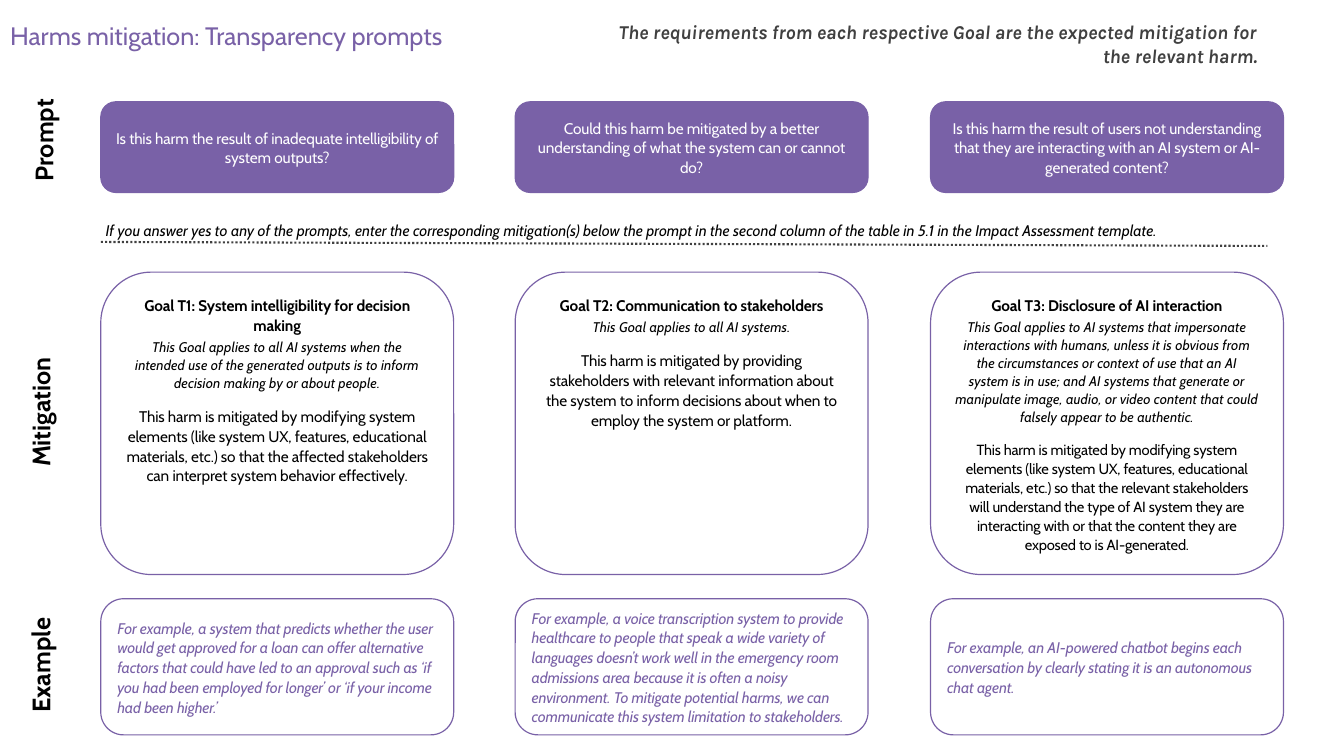
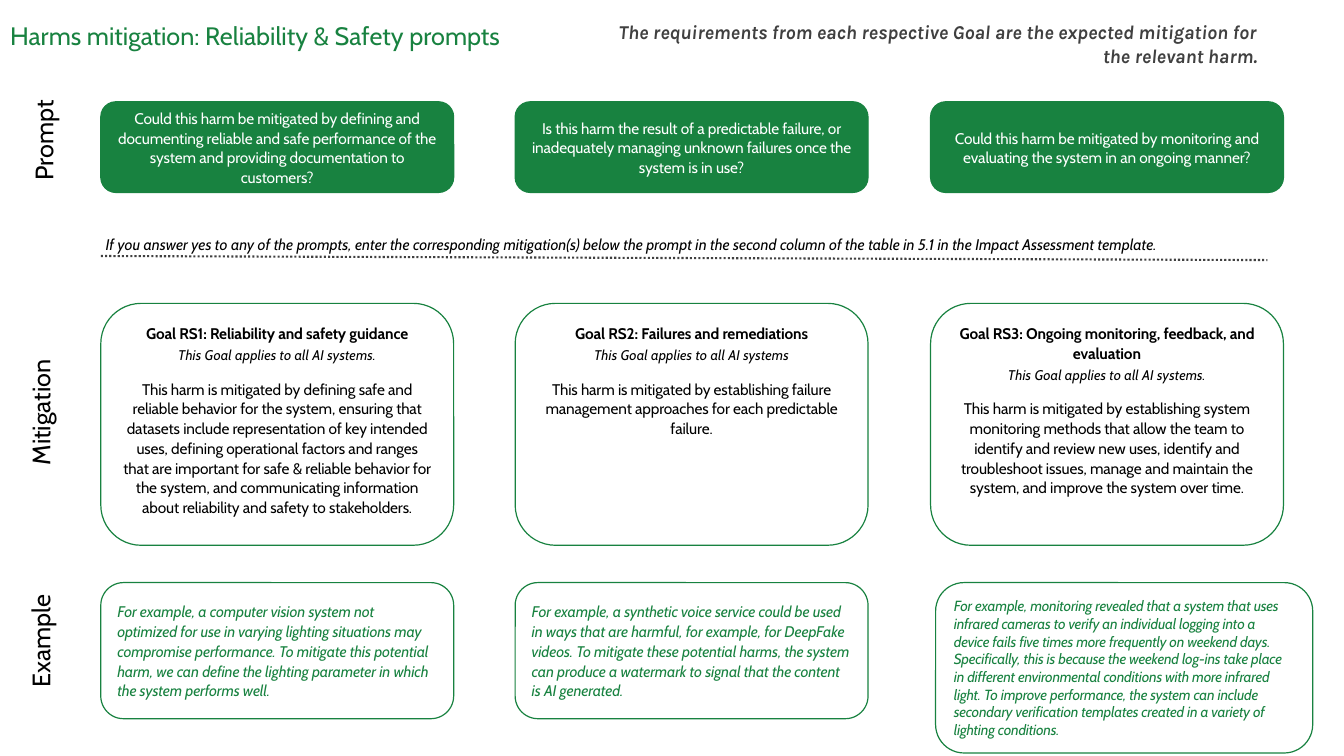
from dataclasses import dataclass

from lxml import etree
from pptx import Presentation
from pptx.dml import color
from pptx.enum import dml, shapes, text
from pptx.oxml import ns
from pptx.util import Inches, Pt

COLORS = {
    "purple": "7961A7",
    "green": "188240",
    "grey": "404040",
    "black": "000000",
    "white": "FFFFFF",
}
COLUMNS = (1, 5.11, 9.23)
CARD_WIDTH = 3.5
REQUIREMENT = "The requirements from each respective Goal are the expected mitigation for the relevant harm."
HINT = (
    "If you answer yes to any of the prompts, enter the corresponding mitigation(s) below the prompt "
    "in the second column of the table in 5.1 in the Impact Assessment template."
)
ALL_SYSTEMS = "This Goal applies to all AI systems."


@dataclass
class Goal:
    prompt: str
    name: str
    scope: str
    mitigation: str
    example: str
    mitigation_size: float = 11
    example_box: tuple = ()


@dataclass
class Page:
    title: str
    accent: str
    bold_labels: bool
    hint_top: float
    goal_top: float
    goal_height: float
    example_top: float
    example_label_y: float
    goals: tuple


class Deck:
    """Hold the shared style and the current slide, and draw each kind of element."""

    font = "Cabin"

    def __init__(self):
        self.prs = Presentation()
        self.prs.slide_width, self.prs.slide_height = Inches(13.33), Inches(7.5)
        self.s = None
        self.accent = "black"

    def rgb(self, name):
        return color.RGBColor.from_string(COLORS[name])

    def style_text(self, p, content, size, name="black", align=text.PP_ALIGN.LEFT,
                   bold=False, italic=False, font=None, spacing=0):
        p.text = content
        p.alignment = align
        for r in p.runs:
            r.font.size = Pt(size)
            r.font.name = font or self.font
            r.font.bold, r.font.italic = bold, italic
            r.font.color.rgb = self.rgb(name)
            if spacing:
                r._r.get_or_add_rPr().set("spc", str(spacing))

    def new_slide(self, title, accent):
        self.s = self.prs.slides.add_slide(self.prs.slide_layouts[5])
        self.accent = accent
        sp = self.s.shapes.title
        sp.left, sp.top, sp.width, sp.height = map(Inches, (0, 0.15, 6.67, 0.4))
        tf = sp.text_frame
        tf.auto_size = text.MSO_AUTO_SIZE.NONE
        tf.vertical_anchor = text.MSO_ANCHOR.TOP
        self.style_text(tf.paragraphs[0], title, 18, accent)

    def textbox(self, box, content, size, **style):
        sp = self.s.shapes.add_textbox(*map(Inches, box))
        sp.text_frame.word_wrap = True
        self.style_text(sp.text_frame.paragraphs[0], content, size, **style)
        return sp

    def row_label(self, content, center_x, center_y, bold):
        box = (center_x - 0.8, center_y - 0.2, 1.6, 0.4)
        sp = self.textbox(box, content, 18, bold=bold, align=text.PP_ALIGN.CENTER)
        sp.rotation = 270

    def card(self, box, filled=False, anchor=text.MSO_ANCHOR.MIDDLE):
        sp = self.s.shapes.add_shape(shapes.MSO_SHAPE.ROUNDED_RECTANGLE, *map(Inches, box))
        sp.shadow.inherit = False
        if filled:
            sp.fill.solid()
            sp.fill.fore_color.rgb = self.rgb(self.accent)
        else:
            sp.fill.background()
        sp.line.color.rgb = self.rgb(self.accent)
        sp.line.width = Pt(0.85)
        tf = sp.text_frame
        tf.word_wrap = True
        tf.vertical_anchor = anchor
        tf.paragraphs[0].line_spacing = 1.07
        return tf

    def prompt_card(self, left, content):
        tf = self.card((left, 1.01, CARD_WIDTH, 0.9), filled=True)
        self.style_text(tf.paragraphs[0], content, 11, "white", text.PP_ALIGN.CENTER, spacing=-10)

    def goal_card(self, box, goal):
        tf = self.card(box, anchor=text.MSO_ANCHOR.TOP)
        tf.margin_top = Inches(0.08)
        parts = (
            (goal.name, 11, 0, {"bold": True, "spacing": -10}),
            (goal.scope, 10, 2, {"italic": True, "spacing": 10}),
            (goal.mitigation, goal.mitigation_size, 10.5, {"spacing": -10}),
        )
        for content, size, before, style in parts:
            p = tf.add_paragraph() if before else tf.paragraphs[0]
            p.line_spacing = 1.07
            if before:
                p.space_before = Pt(before)
            self.style_text(p, content, size, align=text.PP_ALIGN.CENTER, **style)

    def example_card(self, box, content, size=11, line_spacing=1.07):
        p = self.card(box).paragraphs[0]
        p.line_spacing = line_spacing
        self.style_text(p, content, size, self.accent, italic=True, spacing=-10)

    def dotted_line(self, x1, y1, x2, y2):
        line = self.s.shapes.add_connector(
            shapes.MSO_CONNECTOR.STRAIGHT, *map(Inches, (x1, y1, x2, y2)))
        line.line.color.rgb = self.rgb("grey")
        line.line.width = Pt(1.5)
        line.line.dash_style = dml.MSO_LINE.ROUND_DOT
        etree.SubElement(line._element.spPr, ns.qn("a:effectLst"))

    def page(self, page):
        self.new_slide(page.title, page.accent)
        self.textbox((5.9, 0.15, 6.67, 0.57), REQUIREMENT, 14, name="grey", bold=True,
                     italic=True, font="Karla", align=text.PP_ALIGN.RIGHT)
        labels = (("Prompt", 0.43, 1.39), ("Mitigation", 0.4, 4.09),
                  ("Example", 0.4, page.example_label_y))
        for content, x, y in labels:
            self.row_label(content, x, y, page.bold_labels)
        for left, goal in zip(COLUMNS, page.goals):
            self.prompt_card(left, goal.prompt)
            self.goal_card((left, page.goal_top, CARD_WIDTH, page.goal_height), goal)
            if goal.example_box:
                self.example_card(goal.example_box, goal.example, 10.5, 1.0)
            else:
                self.example_card((left, page.example_top, CARD_WIDTH, 1.35), goal.example)
        line_top = page.hint_top + 0.26
        self.dotted_line(1, line_top, 12.57, line_top + 0.04)
        self.textbox((0.95, page.hint_top, 11.62, 0.29), HINT, 11, italic=True)


PAGES = (
    Page(
        "Harms mitigation: Transparency prompts", "purple", True,
        hint_top=2.14, goal_top=2.7, goal_height=3, example_top=5.94, example_label_y=6.6,
        goals=(
            Goal(
                "Is this harm the result of inadequate intelligibility of system outputs?",
                "Goal T1: System intelligibility for decision making",
                "This Goal applies to all AI systems when the intended use of the generated outputs "
                "is to inform decision making by or about people.",
                "This harm is mitigated by modifying system elements (like system UX, features, "
                "educational materials, etc.) so that the affected stakeholders can interpret "
                "system behavior effectively.",
                "For example, a system that predicts whether the user would get approved for a loan "
                "can offer alternative factors that could have led to an approval such as ‘if you "
                "had been employed for longer’ or ‘if your income had been higher.’",
            ),
            Goal(
                "Could this harm be mitigated by a better understanding of what the system can or "
                "cannot do?",
                "Goal T2: Communication to stakeholders",
                ALL_SYSTEMS,
                "This harm is mitigated by providing stakeholders with relevant information about "
                "the system to inform decisions about when to employ the system or platform.",
                "For example, a voice transcription system to provide healthcare to people that "
                "speak a wide variety of languages doesn’t work well in the emergency room "
                "admissions area because it is often a noisy environment. To mitigate potential "
                "harms, we can communicate this system limitation to stakeholders.",
            ),
            Goal(
                "Is this harm the result of users not understanding that they are interacting with "
                "an AI system or AI-generated content?",
                "Goal T3: Disclosure of AI interaction",
                "This Goal applies to AI systems that impersonate interactions with humans, unless "
                "it is obvious from the circumstances or context of use that an AI system is in "
                "use; and AI systems that generate or manipulate image, audio, or video content "
                "that could falsely appear to be authentic.",
                "This harm is mitigated by modifying system elements (like system UX, features, "
                "educational materials, etc.) so that the relevant stakeholders will understand "
                "the type of AI system they are interacting with or that the content they are "
                "exposed to is AI-generated.",
                "For example, an AI-powered chatbot begins each conversation by clearly stating it "
                "is an autonomous chat agent.",
                mitigation_size=10.5,
            ),
        ),
    ),
    Page(
        "Harms mitigation: Reliability & Safety prompts", "green", False,
        hint_top=2.28, goal_top=3.01, goal_height=2.4, example_top=5.78, example_label_y=6.36,
        goals=(
            Goal(
                "Could this harm be mitigated by defining and documenting reliable and safe "
                "performance of the system and providing documentation to customers?",
                "Goal RS1: Reliability and safety guidance",
                ALL_SYSTEMS,
                "This harm is mitigated by defining safe and reliable behavior for the system, "
                "ensuring that datasets include representation of key intended uses, defining "
                "operational factors and ranges that are important for safe & reliable behavior "
                "for the system, and communicating information about reliability and safety to "
                "stakeholders.",
                "For example, a computer vision system not optimized for use in varying lighting "
                "situations may compromise performance. To mitigate this potential harm, we can "
                "define the lighting parameter in which the system performs well.",
            ),
            Goal(
                "Is this harm the result of a predictable failure, or inadequately managing unknown "
                "failures once the system is in use?",
                "Goal RS2: Failures and remediations",
                ALL_SYSTEMS.rstrip("."),
                "This harm is mitigated by establishing failure management approaches for each "
                "predictable failure.",
                "For example, a synthetic voice service could be used in ways that are harmful, for "
                "example, for DeepFake videos. To mitigate these potential harms, the system can "
                "produce a watermark to signal that the content is AI generated.",
            ),
            Goal(
                "Could this harm be mitigated by monitoring and evaluating the system in an ongoing "
                "manner?",
                "Goal RS3: Ongoing monitoring, feedback, and evaluation",
                ALL_SYSTEMS,
                "This harm is mitigated by establishing system monitoring methods that allow the "
                "team to identify and review new uses, identify and troubleshoot issues, manage "
                "and maintain the system, and improve the system over time.",
                "For example, monitoring revealed that a system that uses infrared cameras to "
                "verify an individual logging into a device fails five times more frequently on "
                "weekend days. Specifically, this is because the weekend log-ins take place in "
                "different environmental conditions with more infrared light. To improve "
                "performance, the system can include secondary verification templates created in "
                "a variety of lighting conditions.",
                example_box=(9.28, 5.78, 3.74, 1.69),
            ),
        ),
    ),
)


def main():
    deck = Deck()
    for page in PAGES:
        deck.page(page)
    deck.prs.save("out.pptx")


if __name__ == "__main__":
    main()
